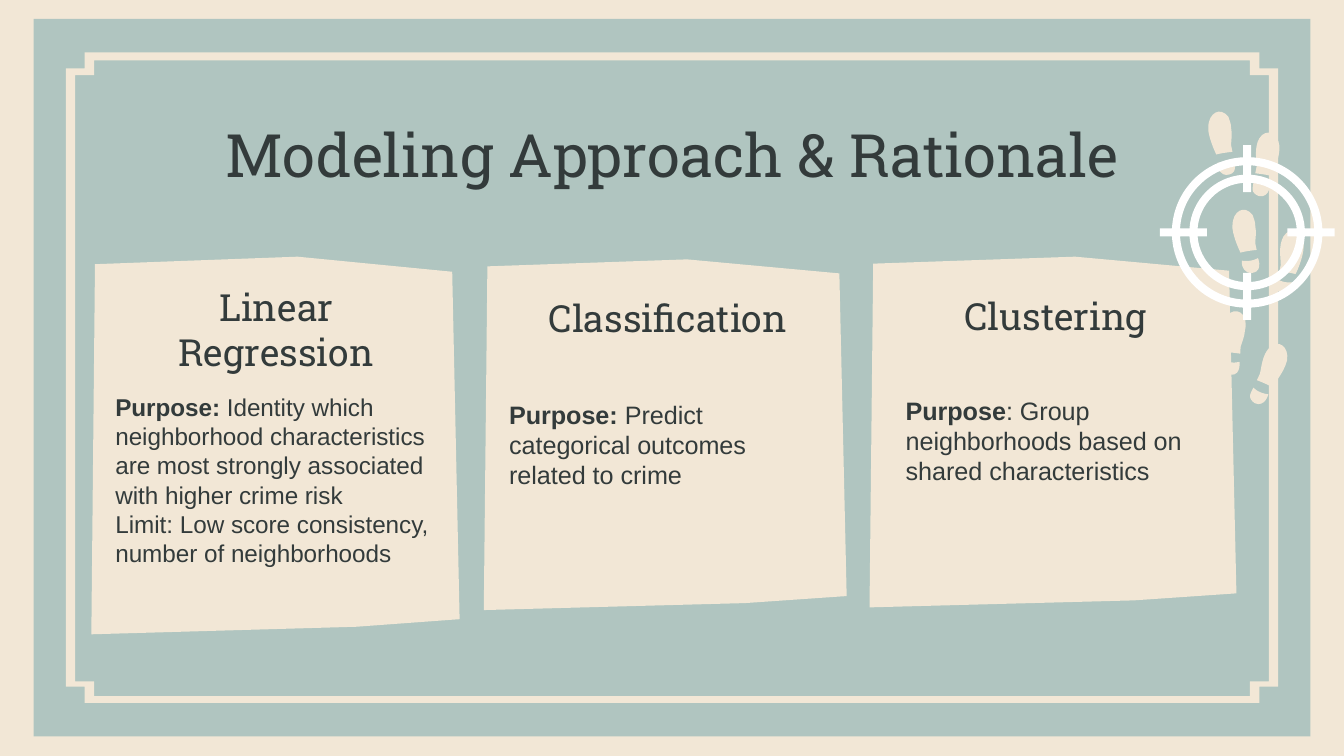
from math import asin, cos, pi, radians, sin, tan

from pptx import Presentation
from pptx.dml.color import RGBColor
from pptx.enum.shapes import MSO_SHAPE as Shape
from pptx.enum.text import MSO_ANCHOR as Anchor, PP_ALIGN as Align
from pptx.oxml.ns import qn
from pptx.util import Inches, Pt

CREAM, SAGE, INK, WHITE = "F2E7D6", "B0C5C0", "333B3B", "FFFFFF"
SLAB, SANS = "Roboto Slab", "Arial"

CARD = [(1, 0.96), (0.98, 0.04), (0.56, 0), (0.01, 0.02), (0, 1), (0.72, 0.98)]

RIGHT_HEEL = [[(20, 18)], [(12, 19), (8, 16), (8, 16)], [(8, 16), (7, 19), (7, 22)],
              [(7, 24), (9, 26), (12, 27)], [(20, 28), (20, 18), (20, 18)]]
RIGHT_SOLE = [[(27, -10)], [(26, -20), (17, -24), (12, -16)], [(8, -9), (10, 0), (10, 5)],
              [(9, 10)], [(18, 11), (21, 12), (21, 12)], [(21, 12), (27, 0), (27, -9)]]
LEFT_HEEL = [[(-6, 4)], [(-6, 2), (-7, 0), (-7, 0)], [(-7, 0), (-11, 3), (-19, 2)],
             [(-19, 2), (-19, 3), (-19, 4)], [(-19, 6), (-17, 12), (-11, 11)],
             [(-6, 10), (-6, 7), (-6, 4)]]
LEFT_SOLE = [[(-9, -24)], [(-9, -27), (-10, -29), (-11, -32)],
             [(-17, -40), (-26, -35), (-26, -24)], [(-26, -23), (-26, -23), (-26, -22)],
             [(-25, -14), (-20, -4), (-20, -4)], [(-20, -4), (-17, -5), (-8, -6)],
             [(-9, -11)], [(-9, -14), (-8, -19), (-9, -24)]]
FOOT_PARTS = [RIGHT_HEEL, RIGHT_SOLE, LEFT_HEEL, LEFT_SOLE]


def color(hex_code):
    return RGBColor.from_string(hex_code)


def turn(point, angle):
    x, y = point
    return x * cos(angle) - y * sin(angle), x * sin(angle) + y * cos(angle)


def place(contour, x=0, y=0, angle=0, scale=1):
    turned = [[turn(p, angle) for p in step] for step in contour]
    return [[(x + u * scale, y + v * scale) for u, v in step] for step in turned]


def lines(points):
    return [[p] for p in points]


def notched(left, top, right, bottom, dx, dy):
    return lines([(right - dx, top), (right - dx, top + dy), (right, top + dy),
                  (right, bottom - dy), (right - dx, bottom - dy), (right - dx, bottom),
                  (left + dx, bottom), (left + dx, bottom - dy), (left, bottom - dy),
                  (left, top + dy), (left + dx, top + dy), (left + dx, top)])


def arc(radius, half_arm, backward=False):
    start = asin(half_arm / radius)
    end = pi / 2 - start
    if backward:
        start, end = end, start
    handle = radius * 4 / 3 * tan((end - start) / 4)
    return [[turn((radius, 0), start)],
            [turn((radius, handle), start), turn((radius, -handle), end), turn((radius, 0), end)]]


def sight(x, y, half_arm=0.03):
    def armed_circle(radius, tip):
        quarter = lines([(tip, -half_arm), (tip, half_arm)]) + arc(radius, half_arm)
        return [step for q in range(4) for step in place(quarter, angle=q * pi / 2)]

    gap = arc(0.5, half_arm) + arc(0.43, half_arm, backward=True)
    gaps = [place(gap, angle=q * pi / 2) for q in range(4)]
    return [place(c, x, y) for c in [armed_circle(0.56, 0.65), armed_circle(0.37, 0.3)] + gaps]


class Deck:
    def __init__(self, background):
        self.prs = Presentation()
        self.prs.slide_width = Inches(10)
        self.prs.slide_height = self.prs.slide_width * 9 // 16
        self.column = self.prs.slide_width / 10
        self.s = self.prs.slides.add_slide(self.prs.slide_layouts[6])
        self.s.background.fill.solid()
        self.s.background.fill.fore_color.rgb = color(background)

    def grid(self, *lengths):
        return [round(n * self.column) for n in lengths]

    def paint(self, sp, fill):
        sp.shadow.inherit = False
        sp.fill.solid()
        sp.fill.fore_color.rgb = color(fill)
        sp.line.fill.background()

    def panel(self, box, fill):
        self.paint(self.s.shapes.add_shape(Shape.RECTANGLE, *self.grid(*box)), fill)

    def outline(self, contours, fill):
        first, *others = [[self.grid(*p) for step in c for p in step] for c in contours]
        builder = self.s.shapes.build_freeform(*first[0])
        builder.add_line_segments(first[1:])
        for points in others:
            builder.move_to(*points[0])
            builder.add_line_segments(points[1:])
        sp = builder.convert_to_shape()
        segments = iter(list(sp._element.iter(qn("a:lnTo"))))
        for step in (step for c in contours for step in c[1:]):
            segment, *rest = [next(segments) for _ in step]
            if rest:
                segment.tag = qn("a:cubicBezTo")
            for extra in rest:
                segment.append(extra[0])
                extra.getparent().remove(extra)
        self.paint(sp, fill)

    def text(self, box, paragraphs, size, font, centered=False):
        tf = self.s.shapes.add_textbox(*self.grid(*box)).text_frame
        tf.word_wrap = True
        tf.margin_left = tf.margin_right = tf.margin_top = tf.margin_bottom = Inches(0.1)
        tf.vertical_anchor = Anchor.MIDDLE if centered else Anchor.TOP
        for i, (lead, rest) in enumerate(paragraphs):
            p = tf.add_paragraph() if i else tf.paragraphs[0]
            p.alignment = Align.CENTER if centered else Align.LEFT
            p.font.size, p.font.name = Pt(size), font
            p.font.color.rgb = color(INK)
            for content, bold in ((lead, True), (rest, False)):
                if content:
                    r = p.add_run()
                    r.text, r.font.bold = content, bold

    def heading(self, box, content, size):
        self.text(box, [("", content)], size, SLAB, centered=True)

    def card(self, box, title_box, title, body_box, body, size):
        x, y, w, h = box
        self.outline([lines([(x + w * u, y + h * v) for u, v in CARD])], CREAM)
        self.heading(title_box, title, 20)
        self.text(body_box, body, size, SANS)

    def footprints(self, x, y, degrees=0):
        for part in FOOT_PARTS:
            self.outline([place(part, x, y, radians(degrees), 0.01)], CREAM)


def main():
    deck = Deck(CREAM)
    deck.panel((0.25, 0.14, 9.5, 5.34), SAGE)
    deck.outline([notched(0.56, 0.45, 9.44, 5.18, 0.14, 0.11),
                  notched(0.49, 0.39, 9.51, 5.23, 0.14, 0.12)], CREAM)
    deck.heading((0.79, 0.88, 8.43, 0.53), "Modeling Approach & Rationale", 32)
    deck.card((0.68, 1.91, 2.74, 2.81), (1, 2.25, 2.11, 0.4), "Linear Regression",
              (0.76, 2.82, 2.74, 1.46),
              [("Purpose:", " Identity which neighborhood characteristics are most "
                            "strongly associated with higher crime risk"),
               ("", "Limit: Low score consistency, number of neighborhoods")], 13)
    for spot in ((9.43, 1.92), (9.25, 1.19), (9.29, 2.71, 14.7)):
        deck.footprints(*spot)
    deck.card((3.6, 1.93, 2.7, 2.61), (3.84, 2.16, 2.26, 0.4), "Classification",
              (3.69, 2.87, 2.43, 0.81),
              [("Purpose: ", "Predict categorical outcomes related to crime")], 13.5)
    deck.card((6.47, 1.91, 2.73, 2.61), (6.8, 2.15, 2.11, 0.4), "Clustering",
              (6.64, 2.84, 2.55, 1.18),
              [("Purpose", ": Group neighborhoods based on shared characteristics")], 13.5)
    deck.outline(sight(9.28, 1.73), WHITE)
    deck.prs.save("out.pptx")


if __name__ == "__main__":
    main()
